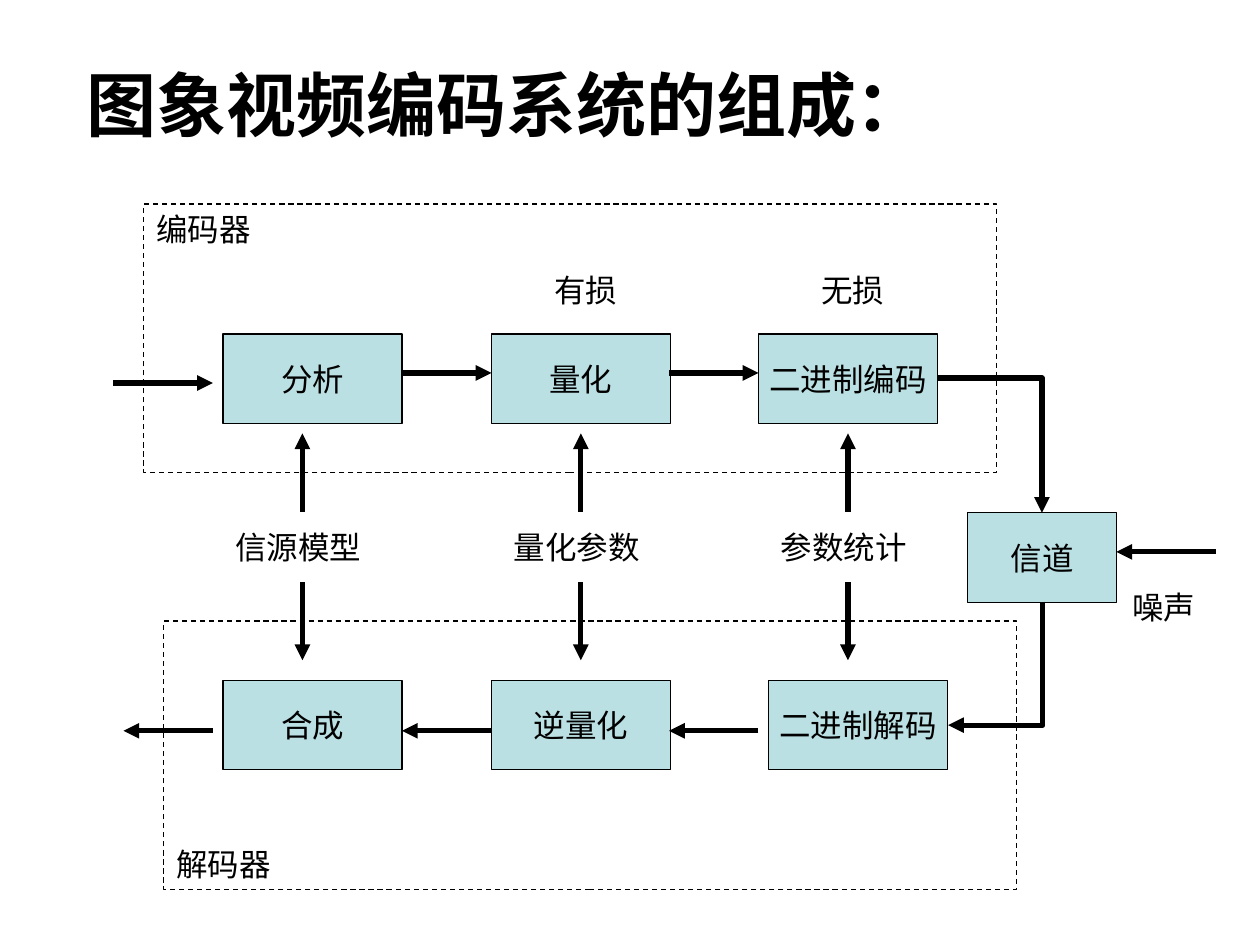
import pptx
import pptx.dml.color
import pptx.enum.dml
import pptx.enum.shapes
import pptx.enum.text
import pptx.oxml.ns
import pptx.util
from lxml import etree
from pptx.util import Inches

BLACK = pptx.dml.color.RGBColor(0x00, 0x00, 0x00)
PALE_TEAL = pptx.dml.color.RGBColor(0xBB, 0xE0, 0xE3)
LEFT, CENTER = pptx.enum.text.PP_ALIGN.LEFT, pptx.enum.text.PP_ALIGN.CENTER
RECTANGLE = pptx.enum.shapes.MSO_SHAPE.RECTANGLE
STRAIGHT = pptx.enum.shapes.MSO_CONNECTOR.STRAIGHT
ELBOW = pptx.enum.shapes.MSO_CONNECTOR.ELBOW
qn = pptx.oxml.ns.qn

presentation = pptx.Presentation()
presentation.slide_width = Inches(10)
presentation.slide_height = Inches(7.5)
slide = presentation.slides.add_slide(presentation.slide_layouts[6])


def write(shape, text, align, size=18, font="Arial", bold=False):
    paragraph = shape.text_frame.paragraphs[0]
    paragraph.text = text
    paragraph.alignment = align
    paragraph.font.size = pptx.util.Pt(size)
    paragraph.font.name = font
    paragraph.font.bold = bold
    paragraph.font.color.rgb = BLACK


def add_arrow(kind, x1, y1, x2, y2):
    arrow = slide.shapes.add_connector(kind, Inches(x1), Inches(y1), Inches(x2), Inches(y2))
    arrow.line.color.rgb = BLACK
    arrow.line.width = pptx.util.Pt(3)
    properties = arrow._element.spPr
    etree.SubElement(properties.find(qn("a:ln")), qn("a:tailEnd"), type="triangle")
    etree.SubElement(properties, qn("a:effectLst"))
    if kind == ELBOW:
        properties.find(qn("a:prstGeom")).set("prst", "bentConnector2")
    return arrow


# Title
title = slide.shapes.add_textbox(Inches(0.59), Inches(0.44), Inches(7.32), Inches(0.77))
title.text_frame.word_wrap = True
write(title, "图象视频编码系统的组成：", LEFT, 40, "Times New Roman", True)

# Processing stages: encoder row, decoder row, channel
ENCODER_TOP, DECODER_TOP = 2.65, 5.4
STAGE_WIDTH, STAGE_HEIGHT = 1.42, 0.71
stages = [
    ("分析", 1.77, ENCODER_TOP, STAGE_WIDTH),
    ("量化", 3.9, ENCODER_TOP, STAGE_WIDTH),
    ("二进制编码", 6.02, ENCODER_TOP, STAGE_WIDTH),
    ("合成", 1.77, DECODER_TOP, STAGE_WIDTH),
    ("逆量化", 3.9, DECODER_TOP, STAGE_WIDTH),
    ("二进制解码", 6.1, DECODER_TOP, STAGE_WIDTH),
    ("信道", 7.68, 4.07, 1.18),
]
for text, left, top, width in stages:
    stage = slide.shapes.add_shape(
        RECTANGLE, Inches(left), Inches(top), Inches(width), Inches(STAGE_HEIGHT))
    stage.shadow.inherit = False
    stage.fill.solid()
    stage.fill.fore_color.rgb = PALE_TEAL
    stage.line.color.rgb = BLACK
    stage.line.width = pptx.util.Pt(0.75)
    stage.text_frame.word_wrap = False
    stage.text_frame.vertical_anchor = pptx.enum.text.MSO_ANCHOR.MIDDLE
    write(stage, text, CENTER)

# Labels
labels = [
    ("信源模型", 1.77, 4.14, 1.34, LEFT),
    ("量化参数", 3.98, 4.14, 1.34, LEFT),
    ("参数统计", 6.1, 4.14, 1.34, LEFT),
    ("噪声", 8.78, 4.62, 0.91, CENTER),
    ("有损", 3.98, 2.1, 1.34, CENTER),
    ("无损", 6.1, 2.1, 1.34, CENTER),
    ("编码器", 1.14, 1.62, 1.34, LEFT),
    ("解码器", 1.3, 6.66, 1.34, LEFT),
]
for text, left, top, width, align in labels:
    label = slide.shapes.add_textbox(Inches(left), Inches(top), Inches(width), Inches(0.4))
    label.text_frame.word_wrap = True
    write(label, text, align)

# Shared parameters point up to the encoder and down to the decoder
for x in (2.4, 4.61, 6.73):
    add_arrow(STRAIGHT, x, 4.06, x, 3.44)
    add_arrow(STRAIGHT, x, 4.62, x, 5.24)

# Horizontal flow: start x, end x, y
flows = [
    (9.65, 8.86, 4.38),
    (0.9, 1.69, 3.04),
    (3.19, 3.9, 2.96),
    (5.31, 6.02, 2.96),
    (6.02, 5.31, 5.8),
    (3.9, 3.19, 5.8),
    (1.69, 0.98, 5.8),
]
for start, end, y in flows:
    add_arrow(STRAIGHT, start, y, end, y)

# Bent flow into and out of the channel
add_arrow(ELBOW, 7.44, 3, 8.27, 4.07)
channel_output = add_arrow(ELBOW, 7.41, 4.89, 8.39, 5.64)
channel_output._element.spPr.find(qn("a:xfrm")).set("rot", str(90 * 60000))

# Dashed frames around encoder and decoder
for left, top in ((1.14, 1.62), (1.3, 4.93)):
    frame = slide.shapes.add_shape(
        RECTANGLE, Inches(left), Inches(top), Inches(6.77), Inches(2.13))
    frame.shadow.inherit = False
    frame.fill.background()
    frame.line.color.rgb = BLACK
    frame.line.width = pptx.util.Pt(0.75)
    frame.line.dash_style = pptx.enum.dml.MSO_LINE.DASH

presentation.save("out.pptx")
